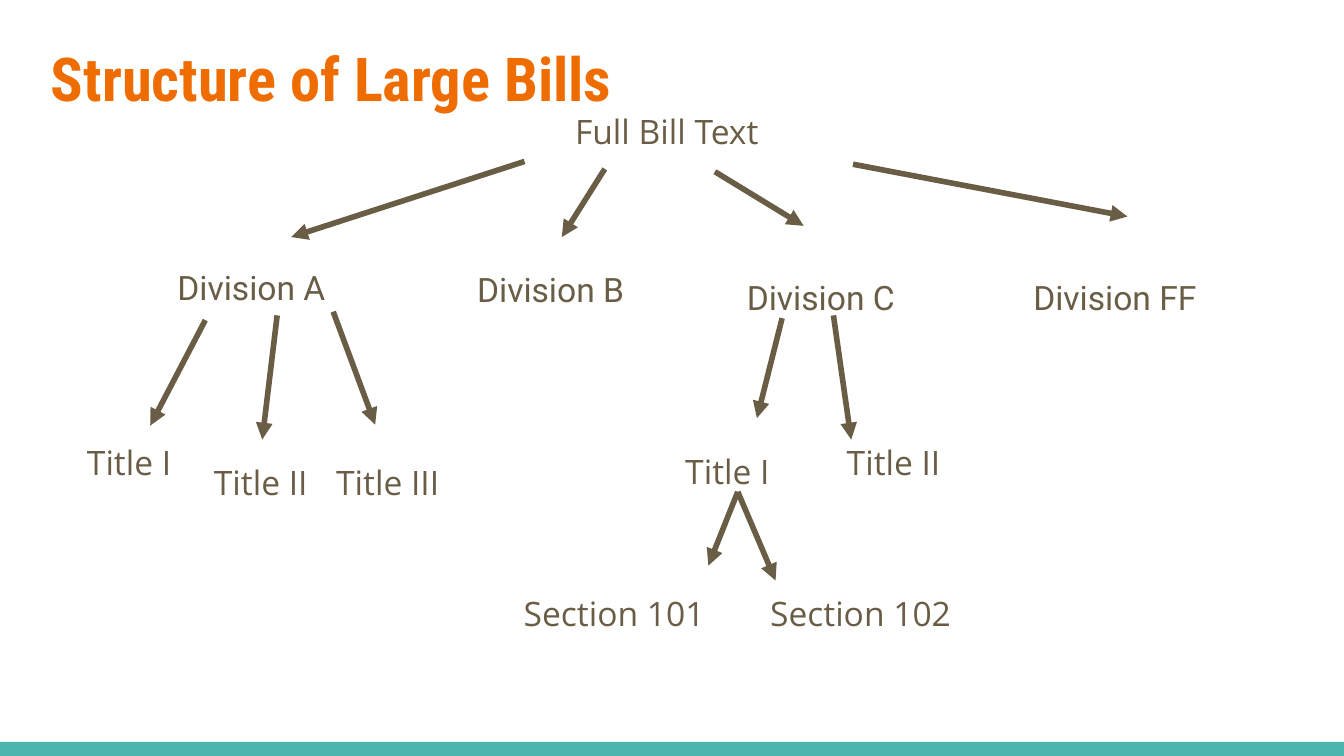
"""Build a slide that shows how large bills are structured, as a tree."""
from dataclasses import dataclass

from lxml import etree
from pptx import Presentation
from pptx import util as u
from pptx.dml import color
from pptx.enum import shapes, text
from pptx.oxml import ns


@dataclass(frozen=True)
class Theme:
    """Colours, fonts and sizes of the slide."""
    bar: str = "4DB6AC"
    title: str = "EF6C00"
    ink: str = "695D46"
    title_font: str = "Roboto Condensed"
    division_font: str = "Roboto"
    label_font: str = "Open Sans"
    title_size: float = 32.4
    label_size: float = 18
    arrow_width: float = 3
    inset: float = 7.2


THEME = Theme()

DIVISIONS = [
    ("Division A", 88, 136, 117, 24),
    ("Division B", 248.5, 137, 106, 29),
    ("Division C", 393, 141, 106, 19),
    ("Division FF", 546.5, 141, 124.5, 24),
]
TITLES = [
    ("Title I", 39.5, 229.5),
    ("Title II", 107.5, 240.5),
    ("Title III", 173, 240.5),
    ("Title II", 446.5, 229.5),
]
SECTIONS = [("Section 101", 273.5), ("Section 102", 405.5)]
BRANCHES = [
    ((281, 86.5), (156, 127)),
    ((324, 90.5), (301, 127)),
    ((383, 92), (430.5, 121)),
    ((457, 88), (604, 116)),
    ((110, 171.5), (80.5, 228)),
    ((148.5, 169), (140.5, 235.5)),
    ((178.5, 167), (201, 227.5)),
    ((419, 170.5), (405.5, 224)),
    ((446.5, 169), (456, 235.5)),
]
SECTION_TIPS = [(415.5, 311), (379.5, 303)]


def rgb(value):
    """Return a colour object for a hex value."""
    return color.RGBColor.from_string(value)


def apply(target, values):
    """Set every attribute named in a dict."""
    for name, value in values.items():
        setattr(target, name, value)


def place(box, left, top, width, height):
    """Move and size a box, in points."""
    apply(box, {"left": u.Pt(left), "top": u.Pt(top),
                "width": u.Pt(width), "height": u.Pt(height)})


def write(box, words, font, size, ink, bold=False):
    """Fill a box with one formatted line of text."""
    frame = box.text_frame
    margins = ("margin_left", "margin_top", "margin_right", "margin_bottom")
    apply(frame, dict.fromkeys(margins, u.Pt(THEME.inset)))
    apply(frame, {"word_wrap": True, "auto_size": text.MSO_AUTO_SIZE.NONE,
                  "vertical_anchor": text.MSO_ANCHOR.TOP})
    para = frame.paragraphs[0]
    para.alignment = text.PP_ALIGN.LEFT
    span = para.add_run()
    span.text = words
    apply(span.font, {"name": font, "size": u.Pt(size), "bold": bold})
    span.font.color.rgb = rgb(ink)


def add_bar(page):
    """Draw the coloured band along the bottom edge."""
    bar = page.shapes.add_shape(shapes.MSO_SHAPE.RECTANGLE, u.Pt(0), u.Pt(397.5),
                                u.Pt(720), u.Pt(7.5))
    bar.shadow.inherit = False
    bar.fill.solid()
    bar.fill.fore_color.rgb = rgb(THEME.bar)
    bar.line.fill.background()


def add_title(page, words):
    """Place and fill the title placeholder."""
    box = page.shapes.title
    place(box, 20, 15, 671, 47.5)
    write(box, words, THEME.title_font, THEME.title_size, THEME.title, True)


def add_label(page, words, left, top, width=70.5, height=29, font=THEME.label_font):
    """Add one node of the tree and return it."""
    box = page.shapes.add_textbox(u.Pt(left), u.Pt(top), u.Pt(width), u.Pt(height))
    write(box, words, font, THEME.label_size, THEME.ink)
    return box


def add_arrow(page, start, end, parent=None):
    """Add an arrow, joined to the bottom of its parent if one is given."""
    points = [u.Pt(value) for value in (*start, *end)]
    arrow = page.shapes.add_connector(shapes.MSO_CONNECTOR.STRAIGHT, *points)
    if parent is not None:
        arrow.begin_connect(parent, 2)
    arrow.line.width = u.Pt(THEME.arrow_width)
    arrow.line.color.rgb = rgb(THEME.ink)
    outline = arrow.line._get_or_add_ln()
    etree.SubElement(outline, ns.qn("a:tailEnd"), type="triangle")
    etree.SubElement(arrow._element.spPr, ns.qn("a:effectLst"))


def main():
    """Build and save the deck."""
    deck = Presentation()
    apply(deck, {"slide_width": u.Pt(720), "slide_height": u.Pt(405)})
    page = deck.slides.add_slide(deck.slide_layouts[5])
    add_bar(page)
    add_title(page, "Structure of Large Bills")
    add_label(page, "Full Bill Text", 301, 52.5, 117, 36)
    for division in DIVISIONS:
        add_label(page, *division, font=THEME.division_font)
    for title in TITLES:
        add_label(page, *title)
    parent = add_label(page, "Title I", 360, 234.5)
    for words, left in SECTIONS:
        add_label(page, words, left, 310.5, 132)
    for start, end in BRANCHES:
        add_arrow(page, start, end)
    for tip in SECTION_TIPS:
        add_arrow(page, (395.25, 263.5), tip, parent)
    deck.save("out.pptx")


if __name__ == "__main__":
    main()
